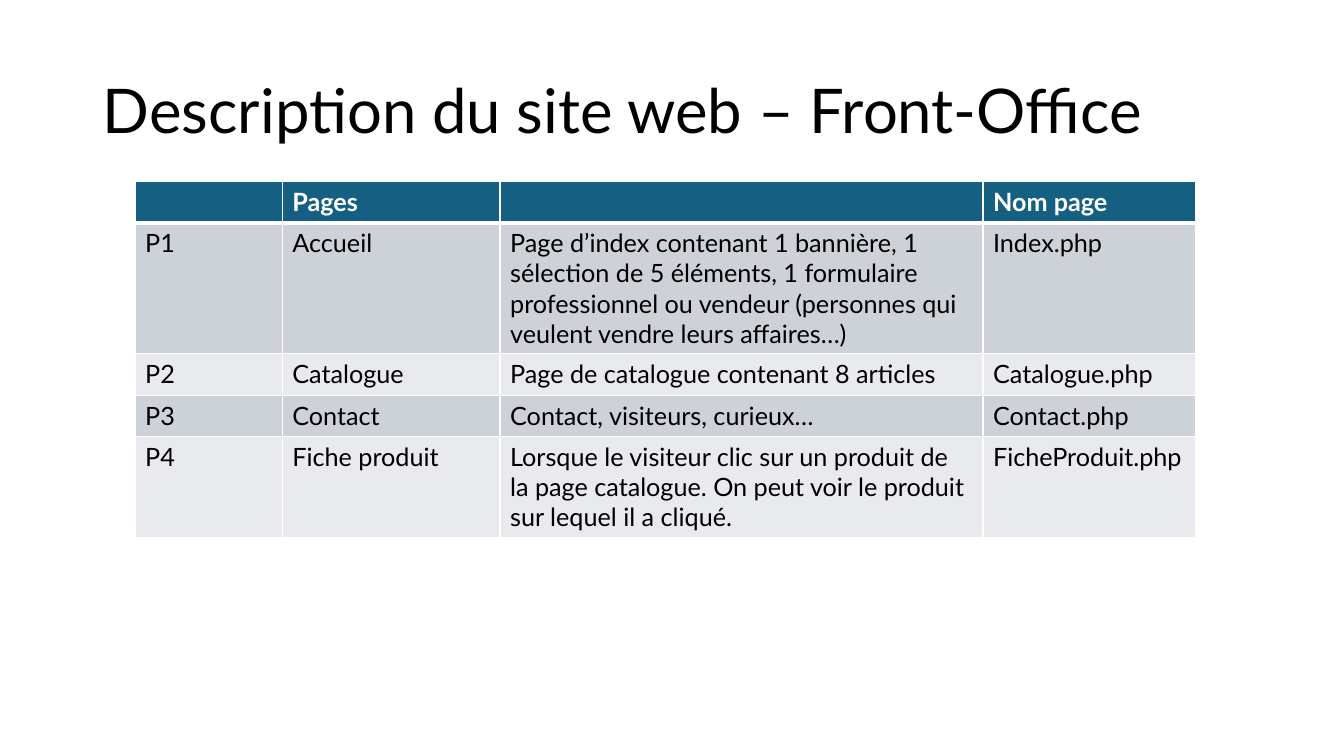
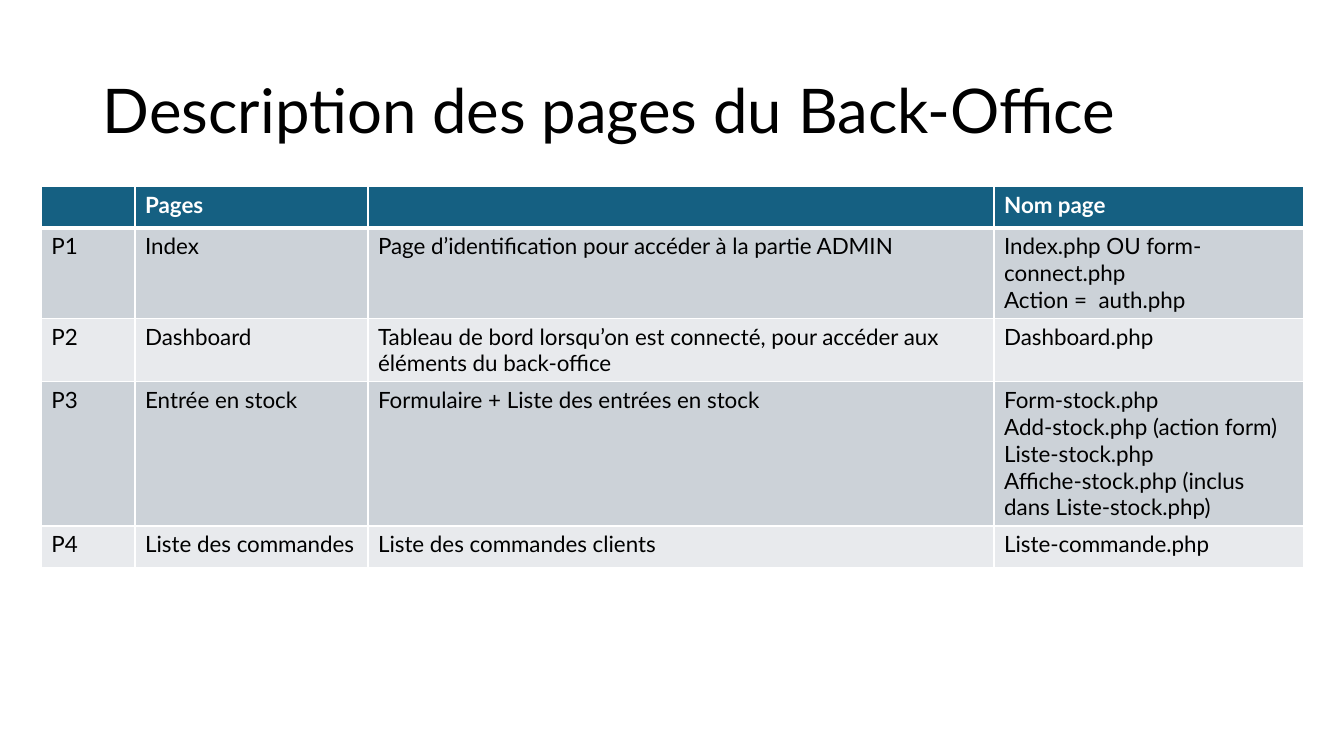
from lxml.etree import SubElement
from pptx import Presentation
from pptx.dml.color import RGBColor
from pptx.enum.text import MSO_ANCHOR, MSO_AUTO_SIZE, PP_ALIGN
from pptx.oxml.ns import qn
from pptx.util import Inches, Pt

TEAL = RGBColor(0x15, 0x60, 0x82)
GREY = RGBColor(0xCC, 0xD2, 0xD8)
PALE = RGBColor(0xE8, 0xEA, 0xED)
WHITE = RGBColor(0xFF, 0xFF, 0xFF)
BLACK = RGBColor(0x00, 0x00, 0x00)

FONT = "Lato"
TITLE_BOX = (0.92, 0.4, 11.5, 1.45)
TITLE_FONT = {"name": FONT, "size": Pt(44), "bold": False}
TITLE_FRAME = {"word_wrap": True, "auto_size": MSO_AUTO_SIZE.NONE,
               "vertical_anchor": MSO_ANCHOR.MIDDLE}
TITLE_PARA = {"alignment": PP_ALIGN.LEFT, "line_spacing": 0.9}
THIN, THICK = Pt(1), Pt(3)
HEADER = ("", "Pages", "", "Nom page")

PAGES = [
    {
        "title": "Description du site web – Front-Office",
        "spot": (1.34, 1.8),
        "cols": (1.46, 2.16, 4.79, 2.11),
        "heights": (0.41, 1.29, 0.41, 0.41, 1.0),
        "size": 18,
        "rows": [
            ("P1", "Accueil",
             "Page d’index contenant 1 bannière, 1 sélection de 5 éléments, "
             "1 formulaire professionnel ou vendeur (personnes qui veulent "
             "vendre leurs affaires…)", "Index.php"),
            ("P2", "Catalogue", "Page de catalogue contenant 8 articles",
             "Catalogue.php"),
            ("P3", "Contact", "Contact, visiteurs, curieux…", "Contact.php"),
            ("P4", "Fiche produit",
             "Lorsque le visiteur clic sur un produit de la page catalogue. "
             "On peut voir le produit sur lequel il a cliqué.",
             "FicheProduit.php"),
        ],
    },
    {
        "title": "Description des pages du Back-Office",
        "spot": (0.41, 1.85),
        "cols": (0.93, 2.31, 6.21, 3.07),
        "heights": (0.41, 0.89, 0.63, 1.43, 0.41),
        "size": 16,
        "rows": [
            ("P1", "Index",
             "Page d’identification pour accéder à la partie ADMIN",
             "Index.php OU form-connect.php\nAction =  auth.php"),
            ("P2", "Dashboard",
             "Tableau de bord lorsqu’on est connecté, pour accéder aux "
             "éléments du back-office", "Dashboard.php"),
            ("P3", "Entrée en stock",
             "Formulaire + Liste des entrées en stock",
             "Form-stock.php\nAdd-stock.php (action form)\nListe-stock.php\n"
             "Affiche-stock.php (inclus dans Liste-stock.php)"),
            ("P4", "Liste des commandes", "Liste des commandes clients",
             "Liste-commande.php"),
        ],
    },
]


def apply(target, values):
    for name, value in values.items():
        setattr(target, name, value)


def paint(font, values, color):
    apply(font, values)
    font.color.rgb = color


def add_title(slide, text, box):
    title = slide.shapes.title
    apply(title, dict(zip(("left", "top", "width", "height"),
                          map(Inches, box))))
    frame = title.text_frame
    frame.text = text
    apply(frame, TITLE_FRAME)
    para = frame.paragraphs[0]
    apply(para, TITLE_PARA)
    paint(para.runs[0].font, TITLE_FONT, BLACK)


def add_edges(cell, row):
    """Draw white cell borders, thick between the header and the body."""
    widths = {"L": THIN, "R": THIN,
              "T": THICK if row == 1 else THIN,
              "B": THICK if row == 0 else THIN}
    props = cell._tc.get_or_add_tcPr()
    for side, width in widths.items():
        line = SubElement(props, qn(f"a:ln{side}"), w=str(width))
        fill = SubElement(line, qn("a:solidFill"))
        SubElement(fill, qn("a:srgbClr"), val=str(WHITE))


def fill_cell(cell, text, row, size):
    head = row == 0
    add_edges(cell, row)
    cell.fill.solid()
    cell.fill.fore_color.rgb = TEAL if head else GREY if row % 2 else PALE
    cell.text_frame.text = text
    style = {"name": FONT, "size": Pt(size), "bold": head}
    for para in cell.text_frame.paragraphs:
        for run in para.runs:
            paint(run.font, style, WHITE if head else BLACK)


def add_grid(slide, spot, cols, heights, size, rows):
    box = (*spot, sum(cols), sum(heights))
    grid = slide.shapes.add_table(len(heights), len(cols),
                                  *map(Inches, box)).table
    for col, width in zip(grid.columns, cols):
        col.width = Inches(width)
    for row, height in zip(grid.rows, heights):
        row.height = Inches(height)
    for r, texts in enumerate([HEADER, *rows]):
        for c, text in enumerate(texts):
            fill_cell(grid.cell(r, c), text, r, size)


def add_page(deck, title, **grid):
    slide = deck.slides.add_slide(deck.slide_layouts.get_by_name("Title Only"))
    add_title(slide, title, TITLE_BOX)
    add_grid(slide, **grid)


def main():
    deck = Presentation()
    deck.slide_width, deck.slide_height = Inches(13.33), Inches(7.5)
    for page in PAGES:
        add_page(deck, **page)
    deck.save("out.pptx")


if __name__ == "__main__":
    main()
